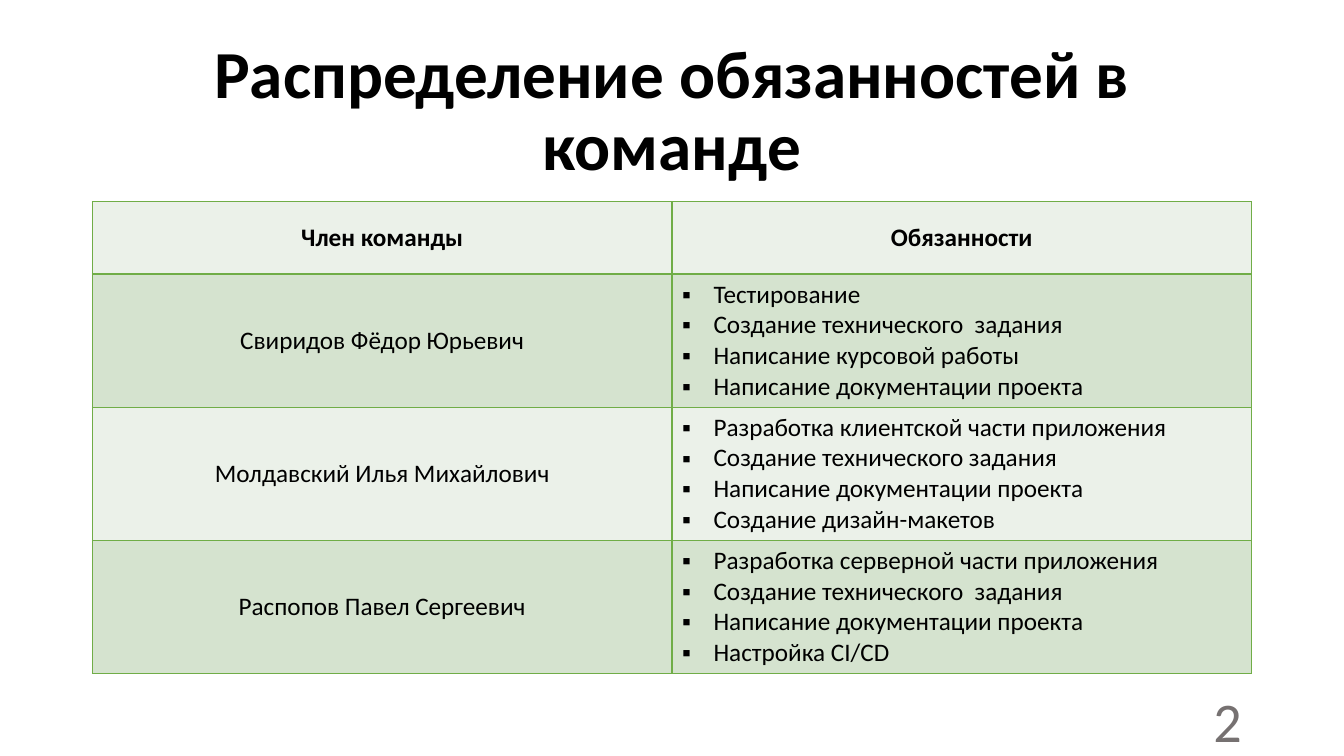
from pptx import Presentation
from pptx import util as u
from pptx.dml.color import RGBColor
from pptx.enum import text
from pptx.oxml import parse_xml
from pptx.oxml.ns import nsdecls

PX = 9525  # EMU in one px, 96 px to the inch


class Theme:
    font = "Calibri"
    black, grey, border = "000000", "767171", "70AD47"
    bands = ("EBF1E9", "D5E3CF")
    title, body, number = 48, 18, 40
    indent = 30


HEADERS = ("Член команды", "Обязанности")
TEAM = {
    "Свиридов Фёдор Юрьевич": (
        "Тестирование",
        "Создание технического  задания",
        "Написание курсовой работы",
        "Написание документации проекта",
    ),
    "Молдавский Илья Михайлович": (
        "Разработка клиентской части приложения",
        "Создание технического задания",
        "Написание документации проекта",
        "Создание дизайн-макетов",
    ),
    "Распопов Павел Сергеевич": (
        "Разработка серверной части приложения",
        "Создание технического  задания",
        "Написание документации проекта",
        "Настройка CI/CD",
    ),
}


def emu(box):
    return [n * PX for n in box]


def write(tf, lines, size, color=Theme.black, bold=False, **paragraph):
    """Fill a text frame with one paragraph a line."""
    for i, line in enumerate(lines):
        p = tf.add_paragraph() if i else tf.paragraphs[0]
        for name, value in paragraph.items():
            setattr(p, name, value)
        r = p.add_run()
        r.text = line
        for name, value in {"name": Theme.font, "size": u.Pt(size), "bold": bold}.items():
            setattr(r.font, name, value)
        r.font.color.rgb = RGBColor.from_string(color)


def add_bullets(tf):
    indent = Theme.indent * PX
    for p in tf.paragraphs:
        pPr = p._p.get_or_add_pPr()
        pPr.set("marL", str(indent))
        pPr.set("indent", str(-indent))
        pPr.append(parse_xml(f'<a:buFont {nsdecls("a")} typeface="Arial"/>'))
        pPr.append(parse_xml(f'<a:buChar {nsdecls("a")} char="▪"/>'))


def paint_cell(cell, fill):
    # Borders come before the fill in the cell properties
    tcPr = cell._tc.get_or_add_tcPr()
    for side in "LRTB":
        tcPr.append(parse_xml(
            f'<a:ln{side} {nsdecls("a")} w="{u.Pt(1)}"><a:solidFill>'
            f'<a:srgbClr val="{Theme.border}"/></a:solidFill></a:ln{side}>'))
    cell.fill.solid()
    cell.fill.fore_color.rgb = RGBColor.from_string(fill)


def add_title(s, box, line):
    sp = s.shapes.title
    sp.left, sp.top, sp.width, sp.height = emu(box)
    tf = sp.text_frame
    for name, value in {"word_wrap": True, "auto_size": text.MSO_AUTO_SIZE.NONE,
                        "vertical_anchor": text.MSO_ANCHOR.MIDDLE}.items():
        setattr(tf, name, value)
    write(tf, [line], Theme.title, bold=True,
          alignment=text.PP_ALIGN.CENTER, line_spacing=0.9)


def add_team_table(s, box, header_height):
    rows = [HEADERS, *TEAM.items()]
    table = s.shapes.add_table(len(rows), len(HEADERS), *emu(box)).table
    member_height = (box[3] - header_height) // len(TEAM)
    for i, (left, right) in enumerate(rows):
        header = i == 0
        table.rows[i].height = (header_height if header else member_height) * PX
        for j, content in enumerate((left, right)):
            cell = table.cell(i, j)
            paint_cell(cell, Theme.bands[i % 2])
            if header or j == 0:
                cell.vertical_anchor = text.MSO_ANCHOR.MIDDLE
                write(cell.text_frame, [content], Theme.body, bold=header,
                      alignment=text.PP_ALIGN.CENTER)
            else:
                write(cell.text_frame, content, Theme.body)
                add_bullets(cell.text_frame)


def add_page_number(s, box, number):
    tf = s.shapes.add_textbox(*emu(box)).text_frame
    tf.word_wrap = True
    tf.vertical_anchor = text.MSO_ANCHOR.MIDDLE
    write(tf, [number], Theme.number, Theme.grey, alignment=text.PP_ALIGN.RIGHT)


def main():
    prs = Presentation()
    prs.slide_width, prs.slide_height = emu((1280, 720))
    s = prs.slides.add_slide(prs.slide_layouts.get_by_name("Title Only"))
    add_title(s, (88, 38, 1104, 139), "Распределение обязанностей в команде")
    add_team_table(s, (88, 192, 1104, 423), header_height=69)
    add_page_number(s, (904, 667, 288, 38), "2")
    prs.save("out.pptx")


if __name__ == "__main__":
    main()
